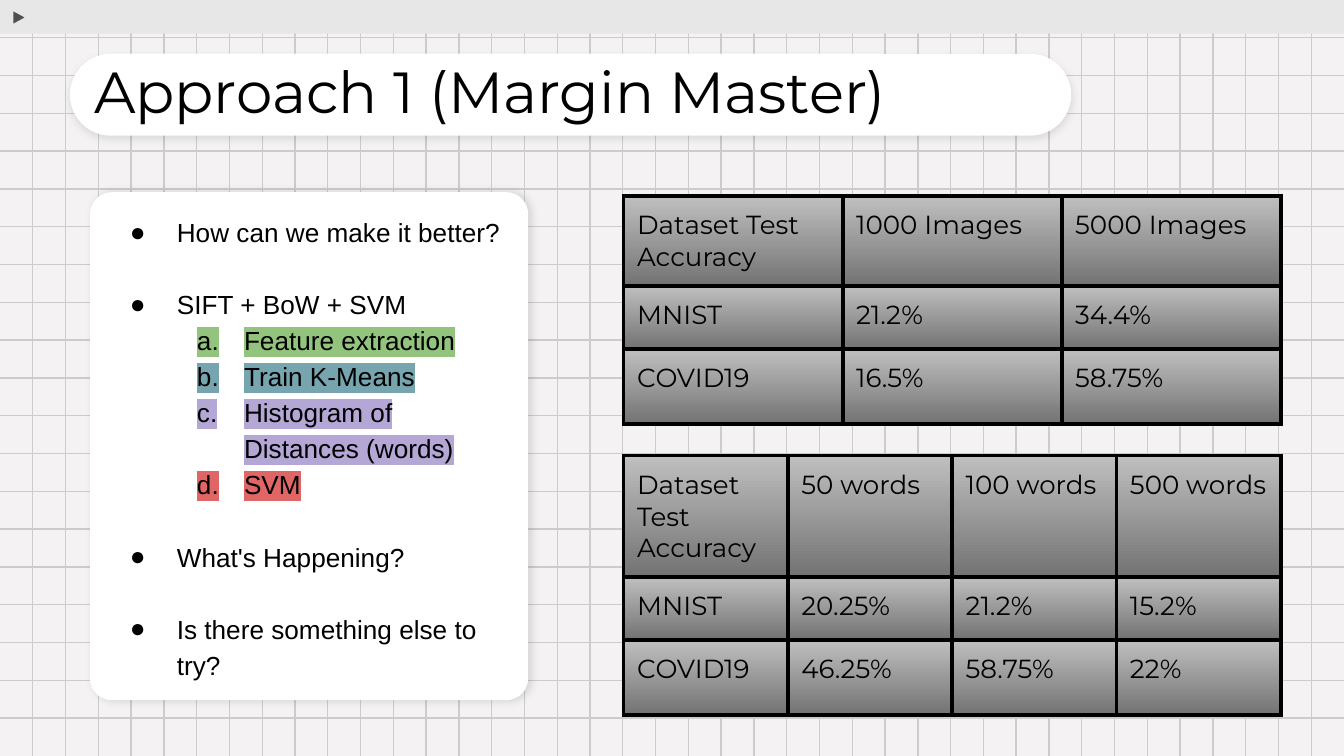
from lxml import etree
from pptx import Presentation
from pptx import util as u
from pptx.dml.color import RGBColor
from pptx.enum import shapes, text
from pptx.oxml.ns import qn

COLORS = {
    "paper": "F4F2F2", "grid": "CCCCCC", "bar": "E7E7E7", "arrow": "4F4F4F",
    "white": "FFFFFF", "black": "000000", "cell_top": "BFBFBF", "cell_bottom": "737373",
    "green": "93C47D", "teal": "76A5AF", "violet": "B4A7D6", "red": "E06666",
}
TITLE = "Approach 1 (Margin Master)"
POINTS = [
    ("How can we make it better?", []),
    ("SIFT + BoW + SVM", [
        ("Feature extraction", "green"),
        ("Train K-Means", "teal"),
        ("Histogram of Distances (words)", "violet"),
        ("SVM", "red"),
    ]),
    ("What's Happening?", []),
    ("Is there something else to try?", []),
]
TABLES = [
    (1.46, [
        ("Dataset Test Accuracy", "1000 Images", "5000 Images"),
        ("MNIST", "21.2%", "34.4%"),
        ("COVID19", "16.5%", "58.75%"),
    ]),
    (3.39, [
        ("Dataset Test Accuracy", "50 words", "100 words", "500 words"),
        ("MNIST", "20.25%", "21.2%", "15.2%"),
        ("COVID19", "46.25%", "58.75%", "22%"),
    ]),
]
ROW_HEIGHTS = (0.42, 0.47, 0.56)
TABLE_LEFT, TABLE_WIDTH = 4.64, 4.89
GRID_COLUMNS, GRID_ROWS = 41, 20
INSET = 0.1


def rgb(name):
    return RGBColor.from_string(COLORS[name])


def add_element(parent, tag, **attributes):
    child = etree.SubElement(parent, qn(tag))
    for key, value in attributes.items():
        child.set(key, str(value))
    return child


def add_color(parent, tag, name):
    holder = add_element(parent, tag)
    return add_element(holder, "a:srgbClr", val=COLORS[name])


def write(para, words, size=14, font="Arial", spacing=1.0, before=0, highlight=None):
    span = para.add_run()
    span.text = words
    span.font.size = u.Pt(size)
    span.font.name = font
    span.font.color.rgb = rgb("black")
    para.alignment = text.PP_ALIGN.LEFT
    para.line_spacing = spacing
    para.space_before = u.Pt(before)
    if highlight:
        properties = span.font._element
        mark = add_color(properties, "a:highlight", highlight).getparent()
        properties.find(qn("a:solidFill")).addnext(mark)


def set_frame(frame, anchor):
    frame.word_wrap = True
    frame.vertical_anchor = anchor
    for side in ("left", "right", "top", "bottom"):
        setattr(frame, f"margin_{side}", u.Inches(INSET))


def add_box(page, kind, place, fill, line=None, radius=None, shadow=None):
    box = page.shapes.add_shape(kind, *map(u.Inches, place))
    box.shadow.inherit = False
    box.fill.solid()
    box.fill.fore_color.rgb = rgb(fill)
    if line:
        box.line.color.rgb = rgb(line)
        box.line.width = u.Pt(0.75)
    else:
        box.line.fill.background()
    if radius is not None:
        box.adjustments[0] = radius
    if shadow:
        opacity, angle = shadow
        effects = box._element.spPr.find(qn("a:effectLst"))
        outer = add_element(effects, "a:outerShdw", blurRad=u.Pt(4.5), dist=u.Pt(1.5),
                            dir=angle * 60000, algn="bl", rotWithShape=0)
        tint = add_element(outer, "a:srgbClr", val=COLORS["black"])
        add_element(tint, "a:alpha", val=opacity * 1000)
    return box


def add_grid(page, width, height):
    rows = [height * i // GRID_ROWS for i in range(1, GRID_ROWS)]
    columns = [width * i // GRID_COLUMNS for i in range(1, GRID_COLUMNS)]
    ends = [(0, y, width, y) for y in rows] + [(x, 0, x, height) for x in columns]
    for points in ends:
        line = page.shapes.add_connector(shapes.MSO_CONNECTOR.STRAIGHT, *points)
        line.line.color.rgb = rgb("grid")
        line.line.width = u.Pt(0.75)
        add_element(line._element.spPr, "a:effectLst")


def add_bullet(para, level):
    para.level = level
    properties = para._p.get_or_add_pPr()
    properties.set("marL", str(u.Inches(0.5 * (level + 1))))
    properties.set("indent", str(u.Inches(-0.35)))
    add_color(properties, "a:buClr", "black")
    add_element(properties, "a:buFont", typeface="Arial")
    if level:
        add_element(properties, "a:buAutoNum", type="alphaLcPeriod")
    else:
        add_element(properties, "a:buChar", char="●")


def add_points(box):
    frame = box.text_frame
    set_frame(frame, text.MSO_ANCHOR.MIDDLE)
    for index, (point, steps) in enumerate(POINTS):
        para = frame.add_paragraph() if index else frame.paragraphs[0]
        add_bullet(para, 0)
        write(para, point, spacing=1.15, before=19.3 if index else 0)
        for step, color in steps:
            para = frame.add_paragraph()
            add_bullet(para, 1)
            write(para, step, spacing=1.15, highlight=color)


def format_cell(cell):
    cell.fill.gradient()
    cell.fill.gradient_angle = 270
    for stop, name in zip(cell.fill.gradient_stops, ("cell_top", "cell_bottom")):
        stop.color.rgb = rgb(name)
    properties = cell._tc.get_or_add_tcPr()
    for index, side in enumerate("LRTB"):
        border = add_element(properties, f"a:ln{side}", w=u.Pt(2.25))
        add_color(border, "a:solidFill", "black")
        properties.insert(index, border)
    for side in ("left", "right", "top", "bottom"):
        setattr(cell, f"margin_{side}", u.Inches(INSET))


def add_results(page, top, rows):
    count = len(rows[0])
    place = map(u.Inches, (TABLE_LEFT, top, TABLE_WIDTH, sum(ROW_HEIGHTS)))
    table = page.shapes.add_table(len(rows), count, *place).table
    table.first_row = table.horz_banding = False
    for column in table.columns:
        column.width = u.Inches(TABLE_WIDTH) // count
    for r, (values, height) in enumerate(zip(rows, ROW_HEIGHTS)):
        table.rows[r].height = u.Inches(height)
        for c, value in enumerate(values):
            cell = table.cell(r, c)
            format_cell(cell)
            write(cell.text_frame.paragraphs[0], value, font="Montserrat")


def add_title(page):
    title = page.shapes.title
    title.left, title.top, title.width, title.height = map(u.Inches, (0.6, 0.37, 6.22, 0.67))
    set_frame(title.text_frame, text.MSO_ANCHOR.TOP)
    title.text_frame.auto_size = text.MSO_AUTO_SIZE.SHAPE_TO_FIT_TEXT
    write(title.text_frame.paragraphs[0], TITLE, size=31, font="Montserrat", spacing=0.9)
    page.shapes._spTree.append(title._element)


def main():
    deck = Presentation()
    deck.slide_width = u.Inches(10)
    deck.slide_height = deck.slide_width * 9 // 16
    page = deck.slides.add_slide(deck.slide_layouts[5])
    page.background.fill.solid()
    page.background.fill.fore_color.rgb = rgb("paper")
    add_grid(page, deck.slide_width, deck.slide_height)
    kinds = shapes.MSO_SHAPE
    add_box(page, kinds.RECTANGLE, (-0.01, 0, 10.01, 0.25), "bar")
    arrow = add_box(page, kinds.ISOSCELES_TRIANGLE, (0.09, 0.08, 0.11, 0.1), "arrow", line="bar")
    arrow.rotation = 90
    card = add_box(page, kinds.ROUNDED_RECTANGLE, (0.67, 1.43, 3.26, 3.78), "white",
                   radius=0.05, shadow=(12, 0))
    add_points(card)
    add_box(page, kinds.ROUNDED_RECTANGLE, (0.52, 0.4, 7.45, 0.61), "white",
            radius=0.5, shadow=(10, 90))
    add_title(page)
    for top, rows in TABLES:
        add_results(page, top, rows)
    deck.save("out.pptx")


if __name__ == "__main__":
    main()
